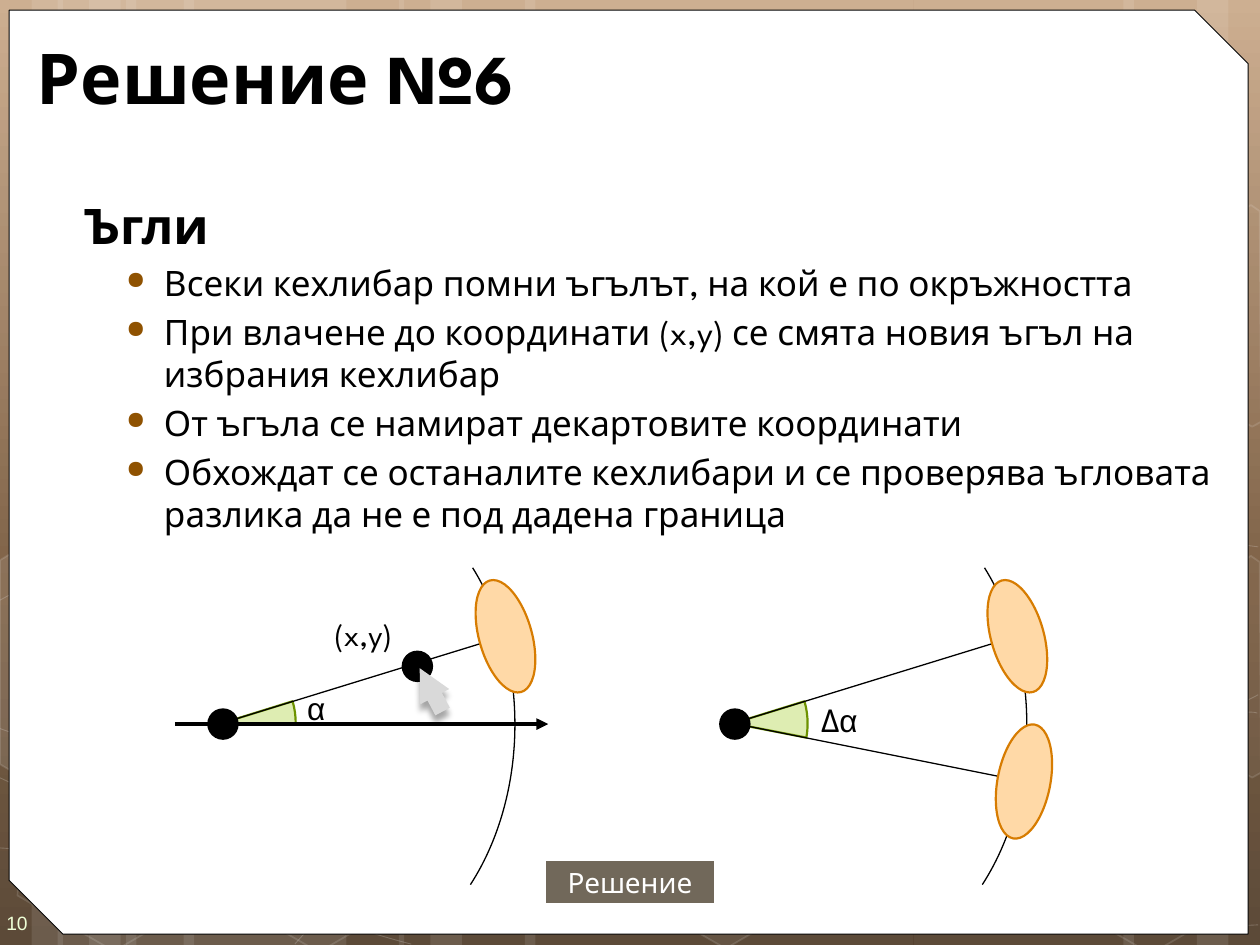
from math import cos, radians, sin

from lxml.etree import SubElement
from pptx import Presentation
from pptx.dml.color import RGBColor
from pptx.enum.shapes import MSO_CONNECTOR, MSO_SHAPE
from pptx.enum.text import MSO_ANCHOR, PP_ALIGN
from pptx.oxml.ns import qn
from pptx.util import Pt

HEADING_FONT = "League Spartan"
STRIPES = [(72, 126), (0, 36), (18, 60), (105, 126), (33, 36), (51, 60),
           (522, 126), (684, 36), (642, 60), (300, 222), (228, 36), (246, 60)]
# left, top, fill opacity, line opacity
HEXAGONS = [(236, 225.5, 10, 12), (293, 324.5, 0, 12), (293.5, 125.5, 7, 8),
            (235, 26, 4, 8), (351.5, 424, 6, 12), (2, 425.5, 0, 12),
            (4.5, 224.5, 7, 8), (61, 324.5, 0, 12), (119, 426, 0, 12),
            (120, 225.5, 7, 8), (62.5, 123, 0, 12), (535.5, 326, 10, 12),
            (594.5, 427, 0, 12), (594.5, 226, 7, 8)]
LEFT_EDGE = [(0, 320.4), (8, 315.4), (62.6, 347), (62.6, 410.4), (8.6, 442), (0, 437)]
RIGHT_EDGE = [(661, 349.2), (715, 317.5), (720, 321), (720.7, 441.4),
              (715.7, 444.2), (660.2, 412.6)]
# Bezier nodes: a start, then two controls and an end for each segment
WAVES = [
    [(-1, 484.5), (38, 487), (77, 489), (131, 488), (185, 487.5), (251, 486), (324, 479),
     (396, 471.5), (498, 458), (564, 444), (630, 430), (698, 409), (719, 397)],
    [(-1, 343.5), (20, 332), (40, 321), (81, 310), (122, 299.5), (180, 283.5), (244, 278.5),
     (308, 273.5), (386, 273), (465, 278.5), (544, 284.5), (676, 307), (719, 312.5)],
    [(-1, 444), (85, 484), (172, 523.5), (235, 539.5)],
    [(-1, 416), (22, 424), (44, 432), (86, 443.5), (128, 454.5), (191, 472.5), (250.5, 484.5),
     (311, 497), (387, 510), (446, 517), (505.5, 525), (569.5, 528), (608, 530),
     (646, 533), (656, 531.5), (674.5, 531.5), (692.5, 530.5), (706, 529), (719, 528.5)],
    [(168.5, 539.5), (181.5, 525), (194, 510.5), (211.5, 497.5), (229, 484.5), (253, 470),
     (273, 460), (293, 450), (305, 445.5), (332, 438.5), (358.5, 431), (407, 421), (432, 416),
     (457, 411), (461.5, 411), (484, 409.5), (506, 407.5), (541, 405.5), (566, 404.5),
     (590, 404), (632, 404.5), (632, 404.5), (648, 404.5), (664, 404.5), (679.5, 404.5),
     (693.5, 405.5), (706, 406), (711.5, 407), (718, 407), (716, 407), (718.5, 407.5)],
]
BULLETS = [
    "Всеки кехлибар помни ъгълът, на кой е по окръжността",
    "При влачене до координати (x,y) се смята новия ъгъл на избрания кехлибар",
    "От ъгъла се намират декартовите координати",
    "Обхождат се останалите кехлибари и се проверява ъгловата разлика да не е под дадена граница",
]


def color(value):
    """Turn a hex string into a colour."""
    return RGBColor.from_string(value)


def set_opacity(fill_parent, percent):
    """Set the opacity of the solid fill inside an XML element."""
    if percent < 100:
        node = fill_parent.find(qn("a:solidFill")).find(qn("a:srgbClr"))
        SubElement(node, qn("a:alpha"), val=str(percent * 1000))


def style(shape, fill=None, line=None, width=1, opacity=100, line_opacity=100, rotation=0):
    """Set the fill, outline and rotation of a shape."""
    shape.shadow.inherit = False
    shape.rotation = rotation
    if fill:
        shape.fill.solid()
        shape.fill.fore_color.rgb = color(fill)
        set_opacity(shape.element.spPr, opacity)
    else:
        shape.fill.background()
    if line:
        shape.line.color.rgb = color(line)
        shape.line.width = Pt(width)
        set_opacity(shape.element.spPr.find(qn("a:ln")), line_opacity)
    else:
        shape.line.fill.background()
    return shape


def add_preset(shapes, kind, box, adjustments=(), **look):
    """Add a styled preset shape."""
    shape = shapes.add_shape(kind, *map(Pt, box))
    for index, value in enumerate(adjustments):
        shape.adjustments[index] = value
    return style(shape, **look)


def add_outline(shapes, points, closed, **look):
    """Add a styled freeform through the given points."""
    points = [(Pt(x), Pt(y)) for x, y in points]
    builder = shapes.build_freeform(*points[0])
    builder.add_line_segments(points[1:], close=closed)
    return style(builder.convert_to_shape(), **look)


def add_wave(shapes, nodes):
    """Add a faint curve, joining each three nodes into one Bezier segment."""
    wave = add_outline(shapes, nodes, False, line="FFFFFF", width=0.5, line_opacity=20)
    outline = next(wave.element.iter(qn("a:path")))
    segments = outline.findall(qn("a:lnTo"))
    for first in range(0, len(segments), 3):
        curve = SubElement(outline, qn("a:cubicBezTo"))
        for segment in segments[first:first + 3]:
            curve.append(segment[0])
            outline.remove(segment)


def add_arrow(shapes, start, end, width=0.75):
    """Add a black line with a triangular tip."""
    line = shapes.add_connector(MSO_CONNECTOR.STRAIGHT, *map(Pt, start + end))
    line.line.color.rgb = color("000000")
    line.line.width = Pt(width)
    SubElement(line.line._get_or_add_ln(), qn("a:tailEnd"), type="triangle")
    SubElement(line._element.spPr, qn("a:effectLst"))


def add_run(paragraph, text, size, font=HEADING_FONT, ink="000000", bold=False):
    """Append one formatted run."""
    run = paragraph.add_run()
    run.text = text
    run.font.size, run.font.name, run.font.bold = Pt(size), font, bold
    run.font.color.rgb = color(ink)


def set_frame(shape, margins=(7.2, 3.6, 7.2, 3.6), anchor=MSO_ANCHOR.TOP, wrap=True):
    """Set up a text frame and return it."""
    frame = shape.text_frame
    frame.word_wrap, frame.vertical_anchor = wrap, anchor
    (frame.margin_left, frame.margin_top,
     frame.margin_right, frame.margin_bottom) = map(Pt, margins)
    return frame


def add_text(shapes, box, runs, **frame_options):
    """Add a one-paragraph text box made of runs."""
    frame = set_frame(shapes.add_textbox(*map(Pt, box)), **frame_options)
    for run in runs:
        add_run(frame.paragraphs[0], **run)


def add_body(shapes):
    """Add the heading with its bulleted list."""
    frame = set_frame(shapes.add_textbox(Pt(36.25), Pt(108), Pt(678), Pt(426)))
    heading = frame.paragraphs[0]
    heading._p.get_or_add_pPr().set("marL", str(Pt(5)))
    add_run(heading, "Ъгли", 28, bold=True)
    for text in BULLETS:
        paragraph = frame.add_paragraph()
        paragraph.space_before = Pt(4)
        properties = paragraph._p.get_or_add_pPr()
        properties.set("marL", str(Pt(50.4)))
        properties.set("indent", str(Pt(-21.6)))
        SubElement(SubElement(properties, qn("a:buClr")), qn("a:srgbClr"), val="8F5201")
        SubElement(properties, qn("a:buSzPct"), val="70000")
        SubElement(properties, qn("a:buChar"), char="●")
        add_run(paragraph, text, 20)


def turn_back(points, center, angle=30):
    """Rotate points counter-clockwise around a center."""
    c, s = cos(radians(angle)), sin(radians(angle))
    offsets = [(x - center[0], y - center[1]) for x, y in points]
    return [(center[0] + x * c + y * s, center[1] + y * c - x * s) for x, y in offsets]


def add_backdrop(slide):
    """Draw the gradient, stripes, waves, hexagons and white sheet."""
    fill = slide.background.fill
    fill.gradient()
    fill.gradient_angle = 270
    stops = next(slide.element.iter(qn("a:gsLst")))
    for stop in list(stops):
        stops.remove(stop)
    for position, value in ((0, "C8A685"), (62, "705032"), (100, "4A3622")):
        stop = SubElement(stops, qn("a:gs"), pos=str(position * 1000))
        SubElement(stop, qn("a:srgbClr"), val=value)
    shapes = slide.shapes
    for left, width in STRIPES:
        add_preset(shapes, MSO_SHAPE.RECTANGLE, (left, 0, width, 540), fill="FFFFFF", opacity=10)
    for nodes in WAVES:
        add_wave(shapes, nodes)
    for left, top, opacity, line_opacity in HEXAGONS:
        add_preset(shapes, MSO_SHAPE.HEXAGON, (left, top, 126, 109.5), (0.285, 1.155),
                   fill="FFFFFF" if opacity else None, opacity=opacity,
                   line="FFFFFF", line_opacity=line_opacity, rotation=30)
    upper_edge = [(x, y - 200.5) for x, y in RIGHT_EDGE]
    for points, center, opacity in ((LEFT_EDGE, (19.4, 385.2), 10),
                                    (RIGHT_EDGE, (703.4, 374.4), 4),
                                    (upper_edge, (703.4, 173.9), 0)):
        add_outline(shapes, turn_back(points, center), True,
                    fill="FFFFFF" if opacity else None, opacity=opacity,
                    line="FFFFFF", line_opacity=12, rotation=30)
    add_preset(shapes, MSO_SHAPE.SNIP_2_DIAG_RECTANGLE, (5.25, 5.75, 708, 528), (0, 0.058),
               fill="FFFFFF", line="000000", width=0.5)


def add_dot(shapes, left, top):
    """Add a black point."""
    add_preset(shapes, MSO_SHAPE.OVAL, (left, top, 18, 18), fill="000000")


def add_amber(shapes, left, top, rotation):
    """Add one amber bead."""
    add_preset(shapes, MSO_SHAPE.OVAL, (left, top, 30.2, 66.2), fill="FFD9A7",
               line="D77C01", width=1.25, rotation=rotation)


def add_angle_diagram(slide, shift, end_angle):
    """Draw the sector, circle arc, center, ray and upper bead in a group."""
    shapes = slide.shapes.add_group_shape().shapes
    degree = 0.6
    add_preset(shapes, MSO_SHAPE.PIE, (84 + shift, 369.5, 85, 87.8),
               (342.76 * degree, end_angle * degree),
               fill="94C600", opacity=30, line="6D9200", width=1.25)
    add_preset(shapes, MSO_SHAPE.ARC, (91.25 + shift, 275.75, 203, 276.5),
               (310.83 * degree, 50.27 * degree), line="000000", width=0.75)
    add_dot(shapes, 118.4 + shift, 404.75)
    add_arrow(shapes, (122.5 + shift, 414.6), (288.5 + shift, 363.5))
    add_amber(shapes, 273.75 + shift, 330.5, 344.3)
    return shapes


def add_cursor(shapes):
    """Add the mouse pointer with its soft shadow."""
    cursor = add_preset(shapes, MSO_SHAPE.DOWN_ARROW, (237, 380.2, 18.7, 28), (0.5, 0.982),
                        fill="D9D9D9", rotation=152.1)
    shadow = SubElement(cursor.element.spPr.find(qn("a:effectLst")), qn("a:outerShdw"),
                        blurRad=str(Pt(3.5)), dist=str(Pt(4)), dir="5400000", rotWithShape="0")
    shade = SubElement(shadow, qn("a:srgbClr"), val="000000")
    SubElement(shade, qn("a:alpha"), val="34000")


def main():
    """Build and save the slide."""
    presentation = Presentation()
    presentation.slide_width, presentation.slide_height = Pt(720), Pt(540)
    slide = presentation.slides.add_slide(presentation.slide_layouts[6])
    shapes = slide.shapes
    add_backdrop(slide)
    add_text(shapes, (0, 511, 42, 29), [dict(text="10", size=11, font="Arial", ink="EEFFD6")],
             margins=(3.6, 10.8, 0, 7.2), anchor=MSO_ANCHOR.MIDDLE)
    add_text(shapes, (14, 18, 682, 51), [dict(text="Решение №6", size=40, bold=True)],
             anchor=MSO_ANCHOR.MIDDLE)
    add_body(shapes)
    button = add_preset(shapes, MSO_SHAPE.RECTANGLE, (312, 492, 96, 24), fill="71685A")
    paragraph = set_frame(button, (0, 3.6, 0, 3.6), MSO_ANCHOR.MIDDLE).paragraphs[0]
    paragraph.alignment = PP_ALIGN.CENTER
    add_run(paragraph, "Решение", 16, ink="FFFFFF")

    drag = add_angle_diagram(slide, 0, 359.78)
    add_arrow(drag, (100, 413.75), (313.25, 413.75), 2.25)
    add_dot(drag, 229.5, 371.75)
    add_text(drag, (184, 347.8, 51, 29), [dict(text="(x,y)", size=18)], wrap=False)
    add_cursor(drag)
    add_text(drag, (168.5, 390.2, 25, 29), [dict(text="α", size=18, font="Arial")], wrap=False)

    difference = add_angle_diagram(slide, 292.5, 10.99)
    add_text(difference, (462.2, 397.2, 39, 29),
             [dict(text="Δ", size=18), dict(text="α", size=18, font="Arial")], wrap=False)
    add_arrow(difference, (419, 413.3), (584.6, 446.4))
    add_amber(difference, 570, 413.5, 10.8)
    presentation.save("out.pptx")


main()
